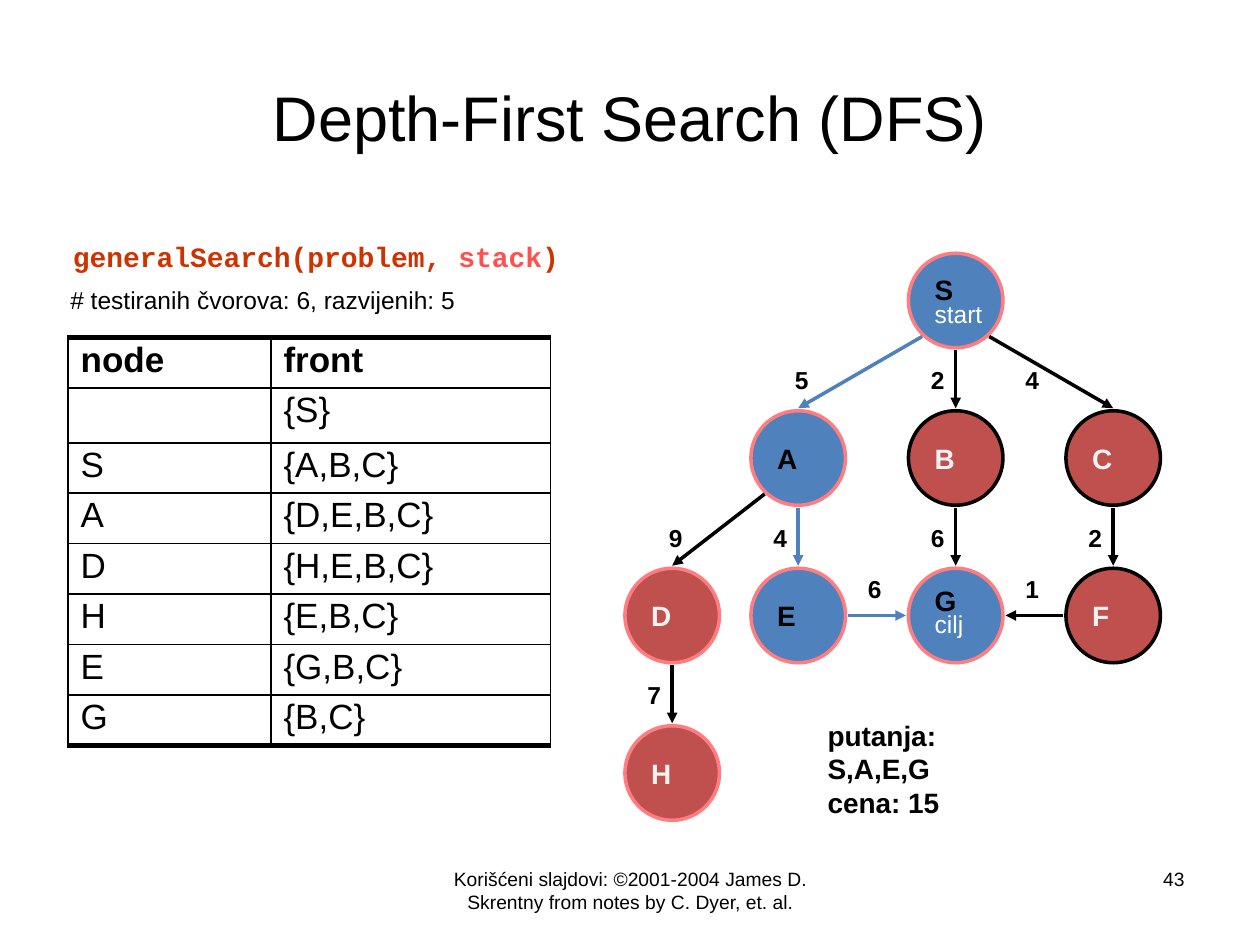
from dataclasses import dataclass

from lxml.etree import SubElement
from pptx import Presentation
from pptx.dml.color import RGBColor
from pptx.enum.shapes import MSO_CONNECTOR, MSO_SHAPE
from pptx.enum.text import MSO_ANCHOR, PP_ALIGN
from pptx.oxml.ns import qn
from pptx.util import Inches, Pt


@dataclass(frozen=True)
class Theme:
    """Colours, fonts and type sizes."""
    black: str = "000000"
    white: str = "FFFFFF"
    pale: str = "F2F2F2"
    blue: str = "4F81BD"
    red: str = "C0504D"
    pink: str = "FF7C80"
    code: str = "CC3300"
    hot: str = "FF5050"
    sans: str = "Arial"
    mono: str = "Courier New"
    title: int = 36
    cell: int = 20
    body: int = 16
    note: int = 14
    foot: int = 11
    line: float = 2
    thick: float = 3
    thin: float = 0.96


class Deck:
    """Holds the theme and the current slide."""

    def __init__(self, theme):
        """Start a deck with one blank slide."""
        self.theme = theme
        self.file = Presentation()
        self.file.slide_width = Inches(10)
        self.file.slide_height = Inches(7.5)
        self.slide = self.file.slides.add_slide(self.file.slide_layouts[6])

    def style(self, font, size, color=None, bold=False, face=None):
        """Set the look of a font."""
        font.name = face or self.theme.sans
        font.size = Pt(size)
        font.bold = bold
        font.color.rgb = RGBColor.from_string(color or self.theme.black)

    def text(self, box, lines, size, align=PP_ALIGN.LEFT, wrap=False,
             anchor=MSO_ANCHOR.TOP, **look):
        """Add a text box with one paragraph a line."""
        frame = self.slide.shapes.add_textbox(*map(Inches, box)).text_frame
        frame.word_wrap = wrap
        frame.vertical_anchor = anchor
        frame.text = "\n".join(lines)
        for para in frame.paragraphs:
            para.alignment = align
            self.style(para.font, size, **look)
        return frame

    def call(self, box, parts):
        """Add a line of code from (text, colour) parts."""
        para = self.text(box, [""], self.theme.body, bold=True,
                         face=self.theme.mono).paragraphs[0]
        for words, color in parts:
            run = para.add_run()
            run.text = words
            run.font.color.rgb = RGBColor.from_string(color)

    def node(self, mid, name, fill, line, color, label="", lead=None):
        """Add a graph node round its centre, with an optional label."""
        x, y = mid
        shape = self.slide.shapes.add_shape(
            MSO_SHAPE.OVAL, Inches(x - RADIUS), Inches(y - RADIUS),
            Inches(2 * RADIUS), Inches(2 * RADIUS))
        shape.shadow.inherit = False
        shape.fill.solid()
        shape.fill.fore_color.rgb = RGBColor.from_string(fill)
        shape.line.color.rgb = RGBColor.from_string(line)
        shape.line.width = Pt(self.theme.line)
        frame = shape.text_frame
        frame.word_wrap = False
        frame.vertical_anchor = MSO_ANCHOR.MIDDLE
        para = frame.paragraphs[0]
        para.text = name
        para.alignment = PP_ALIGN.LEFT
        para.line_spacing = lead
        self.style(para.font, self.theme.body, color, True)
        if label:
            para = frame.add_paragraph()
            para.text = label
            para.alignment = PP_ALIGN.LEFT
            para.line_spacing = 0.75
            self.style(para.font, self.theme.note, self.theme.white)

    def arrow(self, start, end, color):
        """Add an arrow between two points."""
        link = self.slide.shapes.add_connector(
            MSO_CONNECTOR.STRAIGHT, *map(Inches, start + end))
        link.line.color.rgb = RGBColor.from_string(color)
        link.line.width = Pt(self.theme.line)
        SubElement(link.line._get_or_add_ln(), qn("a:tailEnd"), type="triangle")
        SubElement(link._element.spPr, qn("a:effectLst"))

    def table(self, box, rows, widths):
        """Add a ruled table with a bold head row."""
        grid = self.slide.shapes.add_table(
            len(rows), len(widths), *map(Inches, box)).table
        for col, width in zip(grid.columns, widths):
            col.width = Inches(width)
        last = len(rows) - 1
        for r, row in enumerate(rows):
            for c, words in enumerate(row):
                cell = grid.cell(r, c)
                cell.margin_right = Inches(0.02)
                cell.text = words
                para = cell.text_frame.paragraphs[0]
                para.line_spacing = 0.9
                self.style(para.font, self.theme.cell, bold=r == 0)
                self.rule(cell, top=r == 0, foot=r == last)
                cell.fill.background()

    def rule(self, cell, top, foot):
        """Draw the four borders of a cell, thick at the table's ends."""
        props = cell._tc.get_or_add_tcPr()
        for side, heavy in (("L", False), ("R", False), ("T", top), ("B", foot)):
            width = self.theme.thick if heavy else self.theme.thin
            line = SubElement(props, qn("a:ln" + side), w=str(Pt(width)))
            fill = SubElement(line, qn("a:solidFill"))
            SubElement(fill, qn("a:srgbClr"), val=self.theme.black)


def ends(start, goal):
    """Give the two ends of an arrow between node centres."""
    (x, y), (u, v) = start, goal
    gap = RADIUS + 0.02
    side = (u > x) - (u < x)
    if y == v:
        return (x + side * gap, y), (u - side * gap, v)
    if x == u:
        return (x, y + gap), (u, v - gap)
    slant = 0.71 * RADIUS
    return (x + side * slant, y + slant + 0.02), (u, v - gap)


RADIUS = 0.375
look = Theme()
deck = Deck(look)

deck.text((0.5, 0.3, 9, 1.25), ["Depth-First Search (DFS)"], look.title,
          PP_ALIGN.CENTER, True, MSO_ANCHOR.MIDDLE)
deck.call((0.48, 1.85, 4.06, 0.36),
          [("generalSearch(problem, ", look.code), ("stack", look.hot),
           (")", look.code)])
deck.text((0.46, 2.21, 3.27, 0.33),
          ["# testiranih čvorova: 6, razvijenih: 5"], look.note)
deck.table((0.54, 2.68, 3.83, 2.72), [
    ("node", "front"), ("", "{S}"), ("S", "{A,B,C}"), ("A", "{D,E,B,C}"),
    ("D", "{H,E,B,C}"), ("H", "{E,B,C}"), ("E", "{G,B,C}"), ("G", "{B,C}"),
], (1.61, 2.22))

cols = (5.335, 6.335, 7.585, 8.835)
tiers = [2.385 + 1.25 * i for i in range(4)]
spots = {name: (cols[c], tiers[t]) for name, c, t in (
    ("S", 2, 0), ("A", 1, 1), ("B", 2, 1), ("C", 3, 1), ("D", 0, 2),
    ("E", 1, 2), ("G", 2, 2), ("F", 3, 2), ("H", 0, 3))}
route = "SAEG"
tested = "SADHEG"
labels = {"S": ("start", None), "G": ("cilj", 0.65)}

for name, mid in spots.items():
    fill, color = ((look.blue, look.black) if name in route
                   else (look.red, look.pale))
    edge = look.pink if name in tested else look.black
    deck.node(mid, name, fill, edge, color, *labels.get(name, ()))

# Each edge: nodes, cost, left and top of the cost
for pair, cost, left, top in (
        ("SA", 5, 6.21, 2.85), ("SB", 2, 7.29, 2.85), ("SC", 4, 8.04, 2.85),
        ("AD", 9, 5.21, 4.1), ("AE", 4, 6.04, 4.1), ("BG", 6, 7.29, 4.1),
        ("CF", 2, 8.54, 4.1), ("EG", 6, 6.79, 4.51), ("FG", 1, 8.04, 4.51),
        ("DH", 7, 5.04, 5.35)):
    color = look.blue if pair in route else look.black
    deck.arrow(*ends(*(spots[name] for name in pair)), color)
    deck.text((left, top, 0.31, 0.33), [str(cost)], look.note, bold=True)

deck.text((6.47, 5.65, 1.93, 0.63), ["putanja: S,A,E,G", "cena: 15"],
          look.body, bold=True)
deck.text((3.42, 6.83, 3.17, 0.52),
          ["Korišćeni slajdovi: ©2001-2004 James D. Skrentny from notes by "
           "C. Dyer, et. al."], look.foot, PP_ALIGN.CENTER, True)
deck.text((7.17, 6.83, 2.33, 0.52), ["43"], look.foot, PP_ALIGN.RIGHT, True)

deck.file.save("out.pptx")
